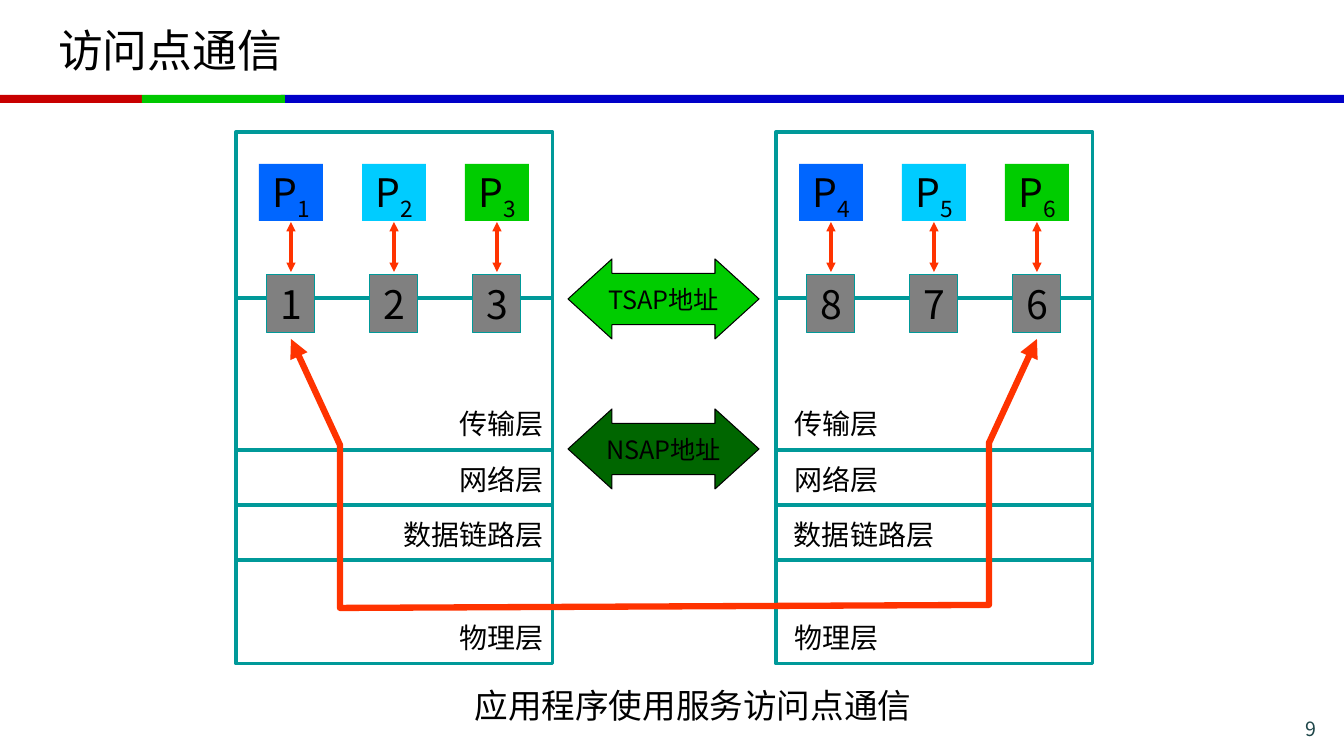
from lxml import etree
from pptx import Presentation
from pptx import util as u
from pptx.dml.color import RGBColor
from pptx.enum import shapes, text
from pptx.oxml.ns import qn

FONT = "Noto Sans CJK SC"
TEAL, RED, BLACK, GREEN = "009999", "FF3300", "000000", "00CC00"
LEFT, MID, RIGHT = text.PP_ALIGN.LEFT, text.PP_ALIGN.CENTER, text.PP_ALIGN.RIGHT

BARS = [(281, 1063, "0000C8"), (0, 142, "C80000"), (142, 143, "00C800")]
TEXTS = [
    ("访问点通信", (48, 7, 1249, 85), 32, LEFT, BLACK),
    ("应用程序使用服务访问点通信", (443, 680, 500, 50), 24, MID, BLACK),
    ("9", (1195, 715, 131, 28), 14, RIGHT, "1E4649"),
]
HOSTS = [
    (236, RIGHT, [("1", "1"), ("2", "2"), ("3", "3")]),
    (776, LEFT, [("4", "8"), ("5", "7"), ("6", "6")]),
]
HUES = ["0066FF", "00CCFF", GREEN]
LAYERS = [("传输层", 402), ("网络层", 458), ("数据链路层", 513), ("物理层", 616)]
RULES = [450, 505, 560, 298]
LINKS = [("TSAP地址", 259, GREEN), ("NSAP地址", 409, "006600")]
ROUTE = [(291, 339), (340, 445), (340, 608), (989, 605), (989, 443), (1037, 339)]
WIDE, PITCH = 317, 103


def px(n):
    return round(n * 914400 / 100.8)


def color(code):
    return RGBColor.from_string(code)


deck = Presentation()
deck.slide_width, deck.slide_height = px(1344), px(756)
slide = deck.slides.add_slide(deck.slide_layouts[6])
parts = slide.shapes


def write(shape, words, size, align=MID, hue=BLACK, sub="", pad=0, top=0):
    frame = shape.text_frame
    frame.word_wrap = False
    frame.vertical_anchor = text.MSO_ANCHOR.MIDDLE
    frame.margin_top, frame.margin_bottom = px(top), 0
    frame.margin_left = frame.margin_right = px(pad)
    para = frame.paragraphs[0]
    para.alignment = align
    para.add_run().text = words
    if sub:
        low = para.add_run()
        low.text = sub
        low.font._element.set("baseline", "-25000")
    font = para.font
    font.size, font.name = u.Pt(size), FONT
    font.color.rgb = color(hue)
    etree.SubElement(font._element, qn("a:ea"), typeface=FONT)


def label(words, box, size, align, hue=BLACK):
    write(parts.add_textbox(*map(px, box)), words, size, align, hue, pad=10)


def stroke(shape, hue, width):
    shape.line.color.rgb = color(hue)
    shape.line.width = u.Pt(width)


def block(box, fill=None, edge=None, width=0.75, kind=shapes.MSO_SHAPE.RECTANGLE):
    shape = parts.add_shape(kind, *map(px, box))
    shape.shadow.inherit = False
    if fill:
        shape.fill.solid()
        shape.fill.fore_color.rgb = color(fill)
    else:
        shape.fill.background()
    if edge:
        stroke(shape, edge, width)
    else:
        shape.line.fill.background()
    return shape


def heads(shape):
    line = shape.line._get_or_add_ln()
    for end in ("a:headEnd", "a:tailEnd"):
        etree.SubElement(line, qn(end), type="triangle")


def rule(x1, y1, x2, y2, hue):
    line = parts.add_connector(shapes.MSO_CONNECTOR.STRAIGHT, *map(px, (x1, y1, x2, y2)))
    stroke(line, hue, 2.25)
    etree.SubElement(line._element.spPr, qn("a:effectLst"))
    return line


def host(x, align, pairs):
    block((x, 132, WIDE, 532), edge=TEAL, width=2.25)
    for y in RULES:
        rule(x, y, x + WIDE, y, TEAL)
    for i, (proc, port) in enumerate(pairs):
        mid = x + 55 + i * PITCH
        write(block((mid - 32, 164, 64, 57), HUES[i]), "P", 28, sub=proc, top=5)
        write(block((mid - 24, 275, 48, 58), "808080", TEAL), port, 28)
        heads(rule(mid, 222, mid, 272, RED))
    for name, y in LAYERS:
        wide = 40 + 28 * len(name)
        start = x + WIDE - wide + 1 if align == RIGHT else x + 8
        label(name, (start, y, wide, 43), 20, align)


for x, wide, hue in BARS:
    block((x, 95, wide, 8), hue)
for item in HOSTS:
    host(*item)

pen = parts.build_freeform(*map(px, ROUTE[0]))
pen.add_line_segments([(px(x), px(y)) for x, y in ROUTE[1:]], close=False)
route = pen.convert_to_shape()
route.shadow.inherit = False
route.fill.background()
stroke(route, RED, 4.5)
heads(route)

for item in TEXTS:
    label(*item)
for words, y, hue in LINKS:
    arrow = block((568, y, 191, 80), hue, BLACK, kind=shapes.MSO_SHAPE.LEFT_RIGHT_ARROW)
    arrow.adjustments[0], arrow.adjustments[1] = 0.64, 0.55
    write(arrow, words, 18)

deck.save("out.pptx")
